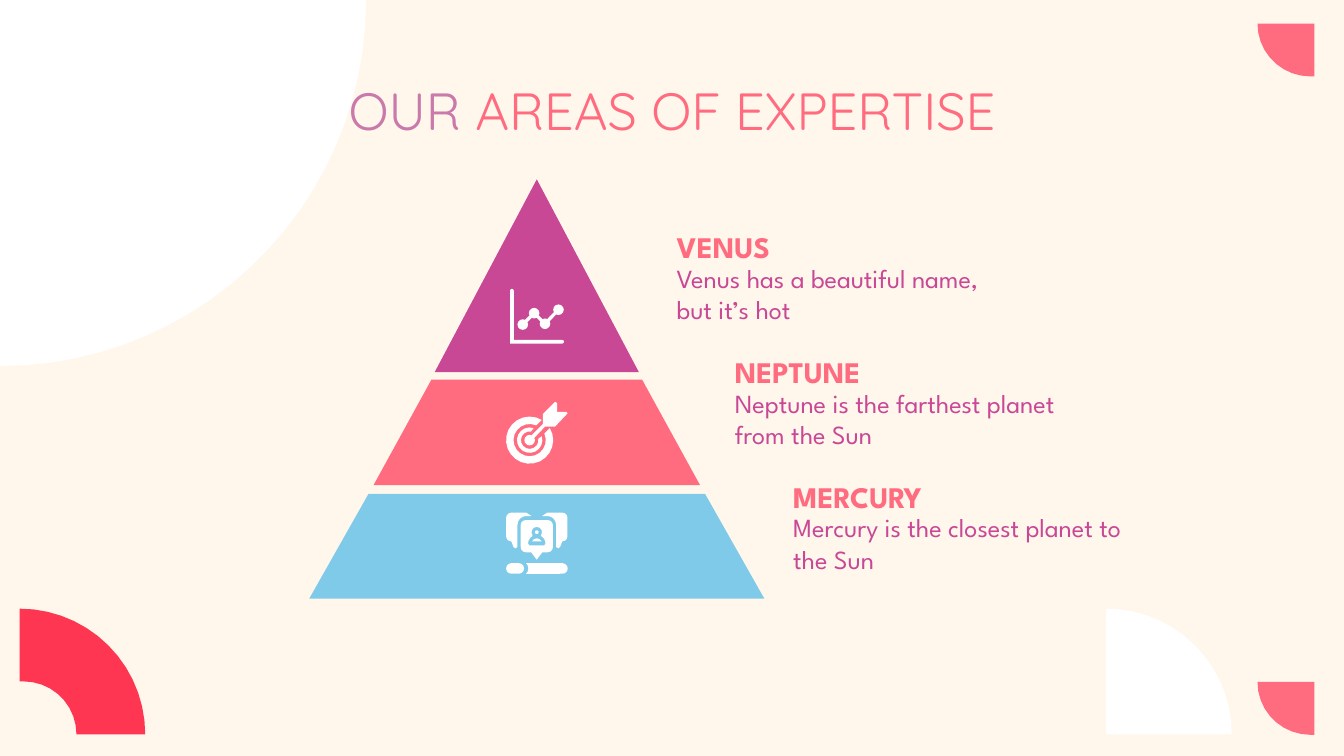
from math import ceil, cos, radians, sin, sqrt

from pptx import Presentation
from pptx.dml.color import RGBColor
from pptx.enum import shapes, text
from pptx.util import Cm, Pt

CREAM = RGBColor(0xFF, 0xF7, 0xEC)
WHITE = RGBColor(0xFF, 0xFF, 0xFF)
CORAL = RGBColor(0xFF, 0x6B, 0x7F)
RED = RGBColor(0xFF, 0x36, 0x51)
PURPLE = RGBColor(0xC9, 0x48, 0x96)
MAUVE = RGBColor(0xC9, 0x79, 0xAA)
BLUE = RGBColor(0x80, 0xCA, 0xE9)

# All lengths are in centimetres.
TITLE = [("OUR ", MAUVE), ("AREAS OF EXPERTISE", CORAL)]
AREAS = [
    ("VENUS", "Venus has a beautiful name, but it’s hot"),
    ("NEPTUNE", "Neptune is the farthest planet from the Sun"),
    ("MERCURY", "Mercury is the closest planet to the Sun"),
]
AXIS = 20.29  # vertical centre line of the pyramid
TIERS = [  # top, bottom, half width at top, half width at bottom, colour
    (14.35, 18.34, 3.98, 6.17, CORAL),
    (6.78, 14.07, 0, 3.86, PURPLE),
    (18.67, 22.63, 6.36, 8.6, BLUE),
]
TREND = [(19.76, 12.27), (20.19, 11.84), (20.6, 12.24), (21.11, 11.71)]
TARGET = (20.02, 16.64)
TARGET_RINGS = [  # outer radius, half gap, inner radius, half gap (degrees)
    (0.89, 14, 0.61, 21),
    (0.48, 27, 0.33, 36),
]
ARROW = [
    (20.98, 15.19), (20.52, 15.65), (20.52, 16.03), (20.09, 16.46),
    (20.19, 16.56), (20.6, 16.13), (20.98, 16.13), (21.46, 15.62),
    (21.4, 15.57), (21.06, 15.57), (21.06, 15.24),
]


def arc(cx, cy, r, start, end):
    """Points along an arc; degrees run clockwise from the right."""
    n = ceil(abs(end - start) * sqrt(r) / 15)
    angles = [radians(start + (end - start) * i / n) for i in range(n + 1)]
    return [(cx + r * cos(a), cy + r * sin(a)) for a in angles]


def paint(sp, color):
    sp.shadow.inherit = False
    sp.fill.solid()
    sp.fill.fore_color.rgb = color
    sp.line.fill.background()


def outline(s, *contours, close=True):
    """Freeform whose later contours cut holes in the first."""
    emu = [[(Cm(x), Cm(y)) for x, y in c] for c in contours]
    fb = s.shapes.build_freeform(*emu[0][0], scale=1.0)
    fb.add_line_segments(emu[0][1:], close=close)
    for c in emu[1:]:
        fb.move_to(*c[0])
        fb.add_line_segments(c[1:], close=close)
    return fb.convert_to_shape()


def draw(s, color, *contours):
    paint(outline(s, *contours), color)


def dot(s, cx, cy, r):
    box = map(Cm, (cx - r, cy - r, 2 * r, 2 * r))
    paint(s.shapes.add_shape(shapes.MSO_SHAPE.OVAL, *box), WHITE)


def add_run(p, words, font, size, color, bold=False):
    r = p.add_run()
    r.text = words
    r.font.name, r.font.size, r.font.bold = font, Pt(size), bold
    r.font.color.rgb = color


def frame(sp, anchor):
    tf = sp.text_frame
    tf.word_wrap = True
    tf.auto_size = text.MSO_AUTO_SIZE.NONE
    tf.vertical_anchor = anchor
    tf.margin_left = tf.margin_right = tf.margin_top = tf.margin_bottom = Cm(0.51)
    return tf.paragraphs[0]


def add_text(s, box, anchor, *style):
    sp = s.shapes.add_textbox(*map(Cm, box))
    add_run(frame(sp, anchor), *style)


def draw_decor(s):
    draw(s, WHITE, [(0, 0)] + arc(0, 0, 13.84, 0, 90))
    for top in (25.78, 0.89):
        draw(s, CORAL, [(49.68, top)] + arc(49.53, top, 2, 180, 90) + [(49.68, top + 2)])
    draw(s, RED, arc(0.74, 27.76, 4.75, 270, 360) + arc(0.89, 27.76, 2, 360, 270)
         + [(0.74, 25.76)])
    draw(s, WHITE, [(41.81, 27.76)] + arc(41.81, 27.76, 4.75, 270, 360))


def draw_pyramid(s):
    for top, bottom, upper, lower, color in TIERS:
        corners = [(AXIS - lower, bottom), (AXIS + lower, bottom), (AXIS + upper, top)]
        if upper:
            corners.append((AXIS - upper, top))
        draw(s, color, corners)


def draw_chart_icon(s):
    draw(s, WHITE, arc(19.35, 10.99, 0.07, 180, 360) + [(19.42, 12.85)]
         + arc(21.25, 12.92, 0.07, -90, 90) + [(19.28, 12.99)])
    trend = outline(s, TREND, close=False)
    trend.shadow.inherit = False
    trend.fill.background()
    trend.line.color.rgb = WHITE
    trend.line.width = Pt(3.5)
    for x, y in TREND:
        dot(s, x, y, 0.2)


def draw_target_icon(s):
    for outer, gap, inner, inner_gap in TARGET_RINGS:
        draw(s, WHITE, arc(*TARGET, outer, gap - 45, 315 - gap)
             + arc(*TARGET, inner, 315 - inner_gap, inner_gap - 45))
    dot(s, *TARGET, 0.2)
    draw(s, WHITE, ARROW)


def draw_people_icon(s):
    pill = s.shapes.add_shape(shapes.MSO_SHAPE.ROUNDED_RECTANGLE,
                              *map(Cm, (19.13, 21.29, 0.68, 0.4)))
    pill.adjustments[0] = 0.5
    paint(pill, WHITE)
    draw(s, WHITE, arc(19.69, 21.49, 0.28, -46, 46) + arc(21.26, 21.49, 0.2, 90, -90))

    dot(s, AXIS, 20.12, 0.07)
    draw(s, WHITE, arc(AXIS, 20.55, 0.2, 205, 335))
    left, right, top, bottom = AXIS - 0.41, AXIS + 0.41, 19.86, 20.68
    card = (arc(left, top, 0.2, 180, 270) + arc(right, top, 0.2, 270, 360)
            + arc(right, bottom, 0.2, 0, 90)
            + [(AXIS + 0.21, 20.88), (AXIS, 21.16), (AXIS - 0.21, 20.88)]
            + arc(left, bottom, 0.2, 90, 180))
    person = (arc(AXIS, 20.12, 0.2, 145, 395) + arc(AXIS, 20.55, 0.33, -60, 0)
              + [(AXIS + 0.28, 20.62), (AXIS - 0.28, 20.62)]
              + arc(AXIS, 20.55, 0.33, 180, 240))
    draw(s, WHITE, card, person)

    bubble = ([(20.09, 19.51), (19.89, 19.38)] + arc(19.33, 19.58, 0.2, 270, 180)
              + arc(19.33, 20.27, 0.2, 180, 90)
              + [(19.41, 20.68), (19.48, 20.73), (19.56, 20.68)]
              + arc(19.89, 19.84, 0.33, 180, 270))
    draw(s, WHITE, bubble)
    draw(s, WHITE, [(2 * AXIS - x, y) for x, y in bubble])


def main():
    prs = Presentation()
    prs.slide_width, prs.slide_height = Cm(50.8), Cm(28.58)
    s = prs.slides.add_slide(prs.slide_layouts[5])
    s.background.fill.solid()
    s.background.fill.fore_color.rgb = CREAM

    draw_decor(s)
    draw_pyramid(s)

    title = s.shapes.title
    s.shapes.element.append(title.element)  # in front of the white quarter circle
    title.left, title.top, title.width, title.height = map(Cm, (1.73, 2.46, 47.35, 3.18))
    p = frame(title, text.MSO_ANCHOR.TOP)
    p.alignment = text.PP_ALIGN.CENTER
    for words, color in TITLE:
        add_run(p, words, "Quicksand", 56, color)

    draw_chart_icon(s)
    draw_target_icon(s)
    draw_people_icon(s)

    for i, (name, about) in enumerate(AREAS):
        x, y = 25.07 + 2.2 * i, 8.48 + 4.72 * i
        add_text(s, (x, y + 0.99, 13.94, 3.25), text.MSO_ANCHOR.MIDDLE,
                 about, "League Spartan", 28, PURPLE)
        add_text(s, (x, y, 11.33, 2.03), text.MSO_ANCHOR.BOTTOM,
                 name, "League Spartan", 32, CORAL, True)

    prs.save("out.pptx")


if __name__ == "__main__":
    main()
